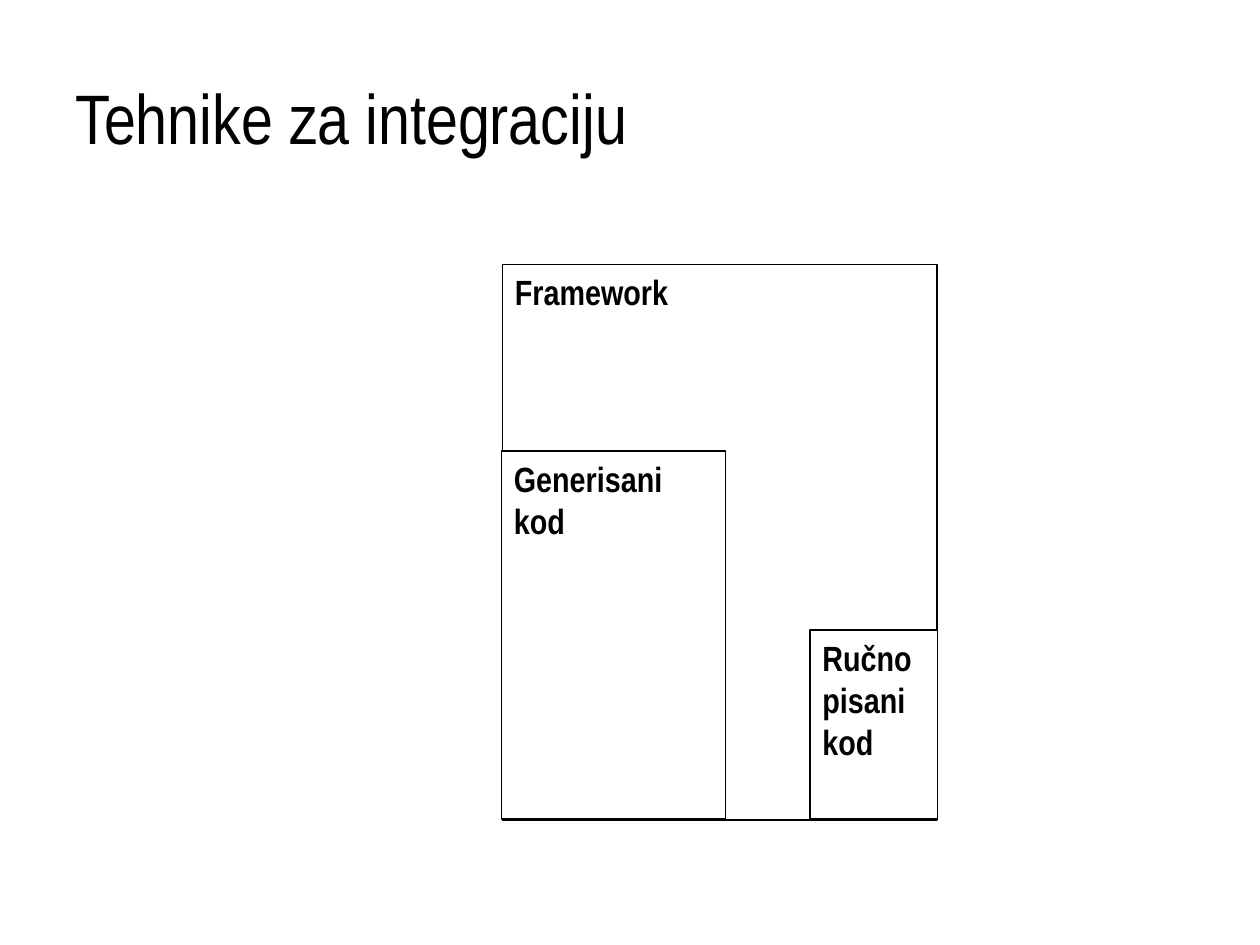
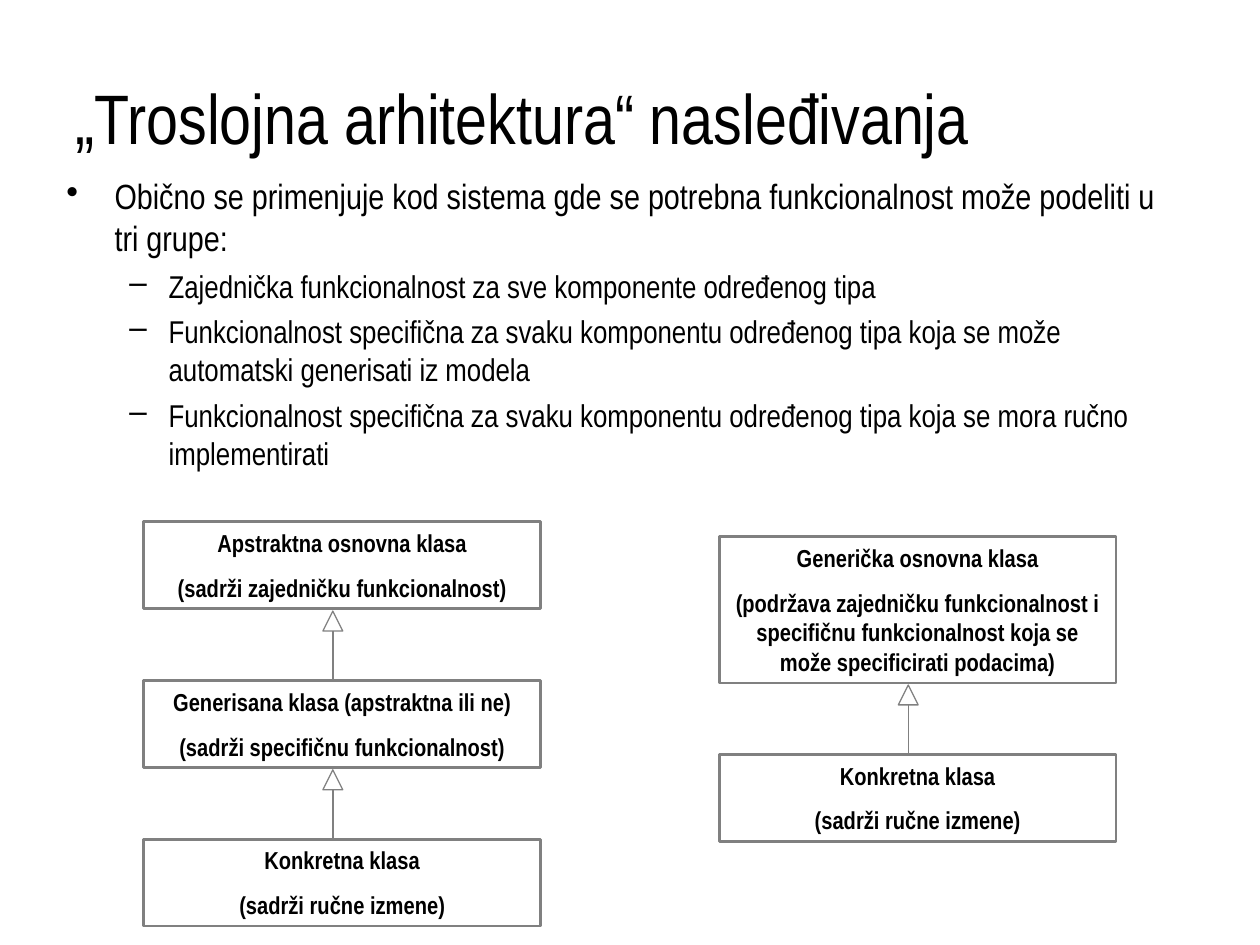
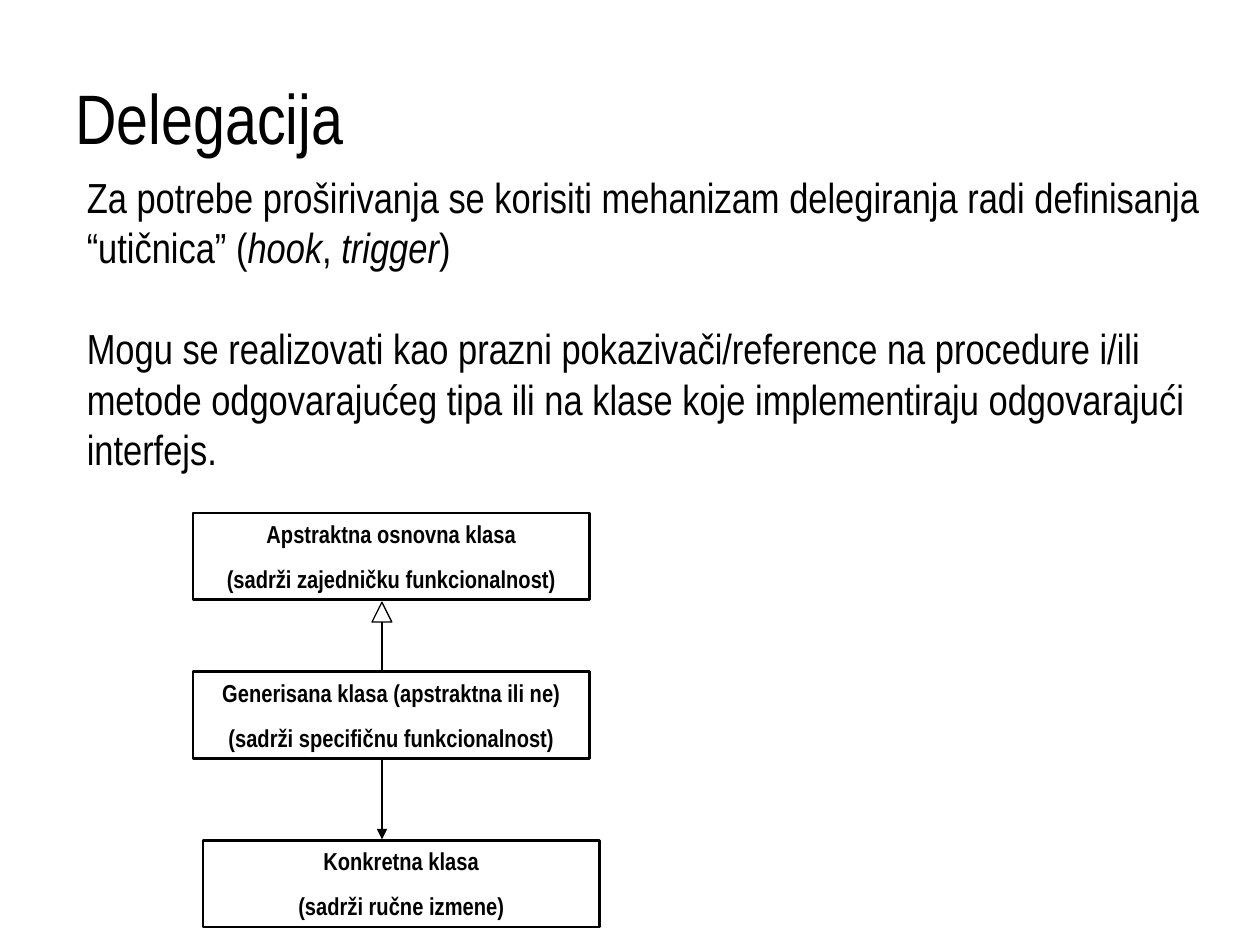
from lxml.etree import SubElement
from pptx import Presentation
from pptx.dml.color import RGBColor
from pptx.enum.shapes import MSO_CONNECTOR, MSO_SHAPE
from pptx.enum.text import MSO_ANCHOR, MSO_AUTO_SIZE, PP_ALIGN
from pptx.oxml.ns import qn
from pptx.util import Cm, Pt

FONT = "Arial Narrow"
BLACK, GRAY, WHITE = "000000", "808080", "FFFFFF"
hex_color = RGBColor.from_string


def write(shape, lines, size, gap=0, bold=False, align=PP_ALIGN.LEFT, anchor=MSO_ANCHOR.TOP):
    """Fill a shape with evenly styled paragraphs; a line is a list of (text, italic) runs."""
    frame = shape.text_frame
    frame.word_wrap = True
    frame.vertical_anchor = anchor
    for number, line in enumerate(lines):
        paragraph = frame.add_paragraph() if number else frame.paragraphs[0]
        for text, italic in line:
            run = paragraph.add_run()
            run.text = text
            if italic:
                run.font.italic = True
        paragraph.alignment = align
        if number and gap:
            paragraph.space_before = Pt(gap)
        paragraph.font.name = FONT
        paragraph.font.size = Pt(size)
        paragraph.font.bold = bold
        paragraph.font.color.rgb = hex_color(BLACK)


def outline(slide, preset, left, top, width, height, color, weight):
    """Draw an unfilled preset shape with a plain outline."""
    shape = slide.shapes.add_shape(preset, Cm(left), Cm(top), Cm(width), Cm(height))
    shape.shadow.inherit = False
    shape.fill.background()
    shape.line.color.rgb = hex_color(color)
    shape.line.width = Pt(weight)
    return shape


prs = Presentation()
prs.slide_width, prs.slide_height = Cm(25.4), Cm(19.05)

# Slides and their titles
slides = []
for title in ["Tehnike za integraciju", "„Troslojna arhitektura“ nasleđivanja", "Delegacija"]:
    slide = prs.slides.add_slide(prs.slide_layouts[6])
    heading = slide.shapes.add_textbox(Cm(1.27), Cm(0.76), Cm(22.86), Cm(3.18))
    write(heading, [[(title, False)]], 40, anchor=MSO_ANCHOR.MIDDLE)
    slides.append(slide)
integration, inheritance, delegation = slides

# Slide 1: generated and handwritten code inside the framework
for label, left, top, width, height in [
    ("Framework", 10.13, 5.33, 8.76, 11.2),
    ("Generisani kod", 10.11, 9.09, 4.52, 7.42),
    ("Ručno pisani kod", 16.33, 12.7, 2.57, 3.81),
]:
    code = outline(integration, MSO_SHAPE.RECTANGLE, left, top, width, height, BLACK, 0.75)
    code.fill.solid()
    code.fill.fore_color.rgb = hex_color(WHITE)
    write(code, [[(label, False)]], 20, bold=True)

# Slide 2: bulleted groups of functionality
groups = [
    (0, "Obično se primenjuje kod sistema gde se potrebna funkcionalnost može podeliti u tri grupe:"),
    (1, "Zajednička funkcionalnost za sve komponente određenog tipa"),
    (1, "Funkcionalnost specifična za svaku komponentu određenog tipa koja se može "
        "automatski generisati iz modela"),
    (1, "Funkcionalnost specifična za svaku komponentu određenog tipa koja se mora "
        "ručno implementirati"),
]
bullet_styles = [("•", 0.97, 0.97, 20), ("–", 2.06, 0.79, 18)]  # mark, margin, hanging, size
overview = inheritance.shapes.add_textbox(Cm(1.09), Cm(3.4), Cm(22.86), Cm(12.57))
overview.text_frame.word_wrap = True
for number, (level, text) in enumerate(groups):
    mark, margin, hanging, size = bullet_styles[level]
    point = overview.text_frame.add_paragraph() if number else overview.text_frame.paragraphs[0]
    point.text = text
    point.level = level
    properties = point._p.get_or_add_pPr()
    properties.set("marL", str(Cm(margin)))
    properties.set("indent", str(-Cm(hanging)))
    SubElement(properties, qn("a:buChar")).set("char", mark)
    if number:
        point.space_before = Pt(4.5)
    point.font.name = FONT
    point.font.size = Pt(size)
    point.font.color.rgb = hex_color(BLACK)

# Slide 3: explanation of delegation
hooks = [
    [("Za potrebe proširivanja se korisiti mehanizam delegiranja radi definisanja “utičnica” (", False),
     ("hook", True), (", ", False), ("trigger", True), (")", False)],
    [("Mogu se realizovati kao prazni pokazivači/reference na procedure i/ili metode "
      "odgovarajućeg tipa ili na klase koje implementiraju odgovarajući interfejs.", False)],
]
explanation = delegation.shapes.add_textbox(Cm(1.5), Cm(3.33), Cm(23.01), Cm(6.35))
write(explanation, hooks, 24, gap=29)

# Class boxes on slides 2 and 3
ABSTRACT = ("Apstraktna osnovna klasa", "(sadrži zajedničku funkcionalnost)")
GENERATED = ("Generisana klasa (apstraktna ili ne)", "(sadrži specifičnu funkcionalnost)")
CONCRETE = ("Konkretna klasa", "(sadrži ručne izmene)")
GENERIC = ("Generička osnovna klasa",
           "(podržava zajedničku funkcionalnost i specifičnu funkcionalnost "
           "koja se može specificirati podacima)")
CLASS_WIDTH, CLASS_HEIGHT = 8, 1.75
AXIS = 3.81  # from the left side of a class to its inheritance line
HEAD, RISE = 0.4, 1.4  # triangle size, its tip above the subclass

# slide, class, left, top, height, colour, inherits from the class above
classes = [
    (inheritance, ABSTRACT, 2.9, 10.52, CLASS_HEIGHT, GRAY, False),
    (inheritance, GENERATED, 2.9, 13.72, CLASS_HEIGHT, GRAY, True),
    (inheritance, CONCRETE, 2.9, 16.92, CLASS_HEIGHT, GRAY, True),
    (inheritance, GENERIC, 14.5, 10.82, 2.95, GRAY, False),
    (inheritance, CONCRETE, 14.5, 15.21, CLASS_HEIGHT, GRAY, True),
    (delegation, ABSTRACT, 3.89, 10.34, CLASS_HEIGHT, BLACK, False),
    (delegation, GENERATED, 3.89, 13.54, CLASS_HEIGHT, BLACK, True),
    (delegation, CONCRETE, 4.09, 16.94, CLASS_HEIGHT, BLACK, False),
]
# slide, x, start, end, colour, arrowhead
links = [(delegation, 3.89 + AXIS, 15.32, 16.92, BLACK, True)]
for slide, lines, left, top, height, color, inherits in classes:
    box = outline(slide, MSO_SHAPE.RECTANGLE, left, top, CLASS_WIDTH, height, color, 1.5)
    write(box, [[(line, False)] for line in lines], 14, gap=8.8, bold=True, align=PP_ALIGN.CENTER)
    box.text_frame.auto_size = MSO_AUTO_SIZE.SHAPE_TO_FIT_TEXT
    if inherits:
        axis, tip = left + AXIS, top - RISE
        outline(slide, MSO_SHAPE.ISOSCELES_TRIANGLE, axis - HEAD / 2, tip, HEAD, HEAD, color, 0.75)
        links.append((slide, axis, tip + HEAD, top, color, False))

# Inheritance lines and the delegation arrow
for slide, x, start, end, color, arrow in links:
    link = slide.shapes.add_connector(MSO_CONNECTOR.STRAIGHT, Cm(x), Cm(start), Cm(x), Cm(end))
    link.line.color.rgb = hex_color(color)
    link.line.width = Pt(0.75)
    if arrow:
        SubElement(link.line._get_or_add_ln(), qn("a:tailEnd")).set("type", "triangle")
    SubElement(link._element.spPr, qn("a:effectLst"))

prs.save("out.pptx")
